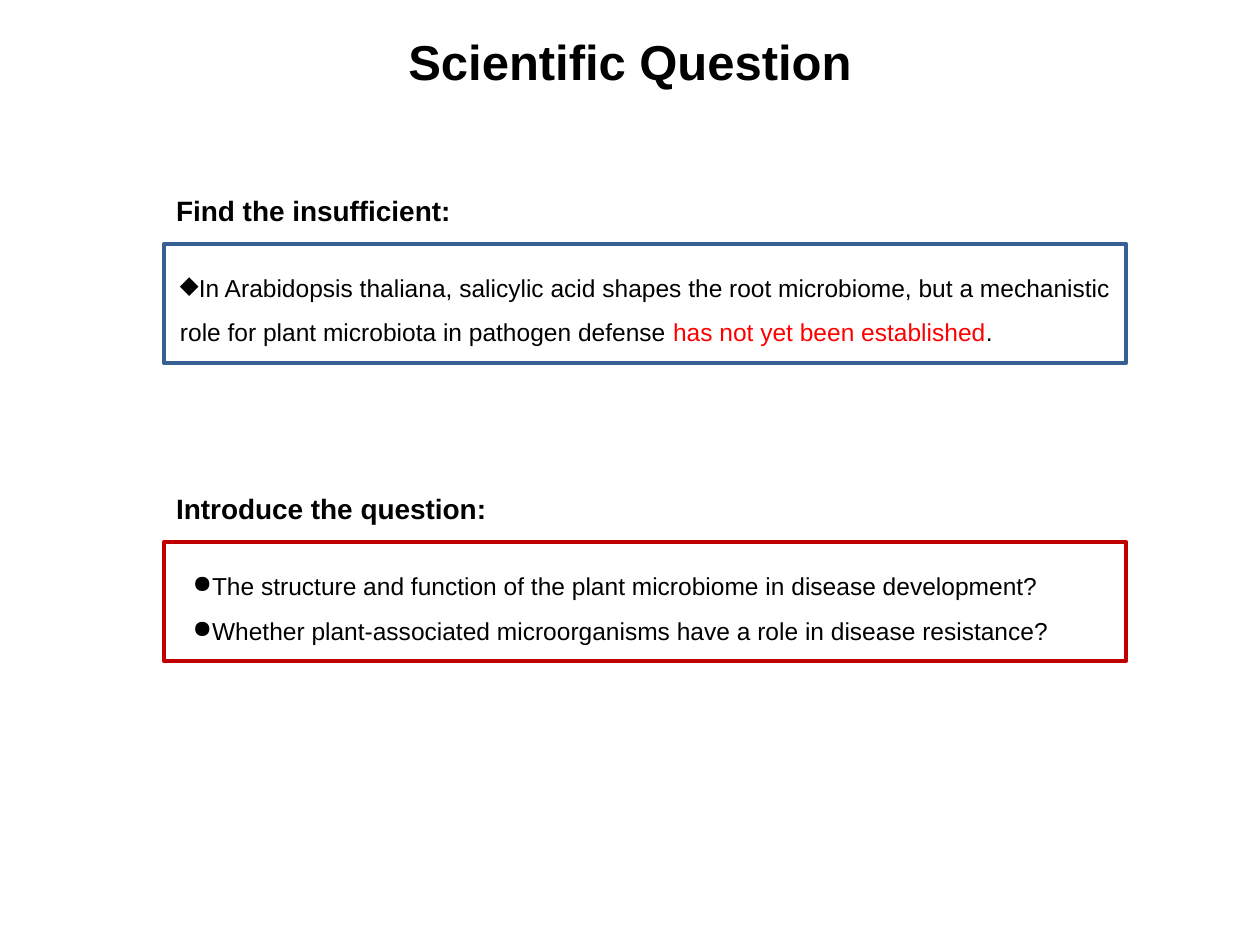
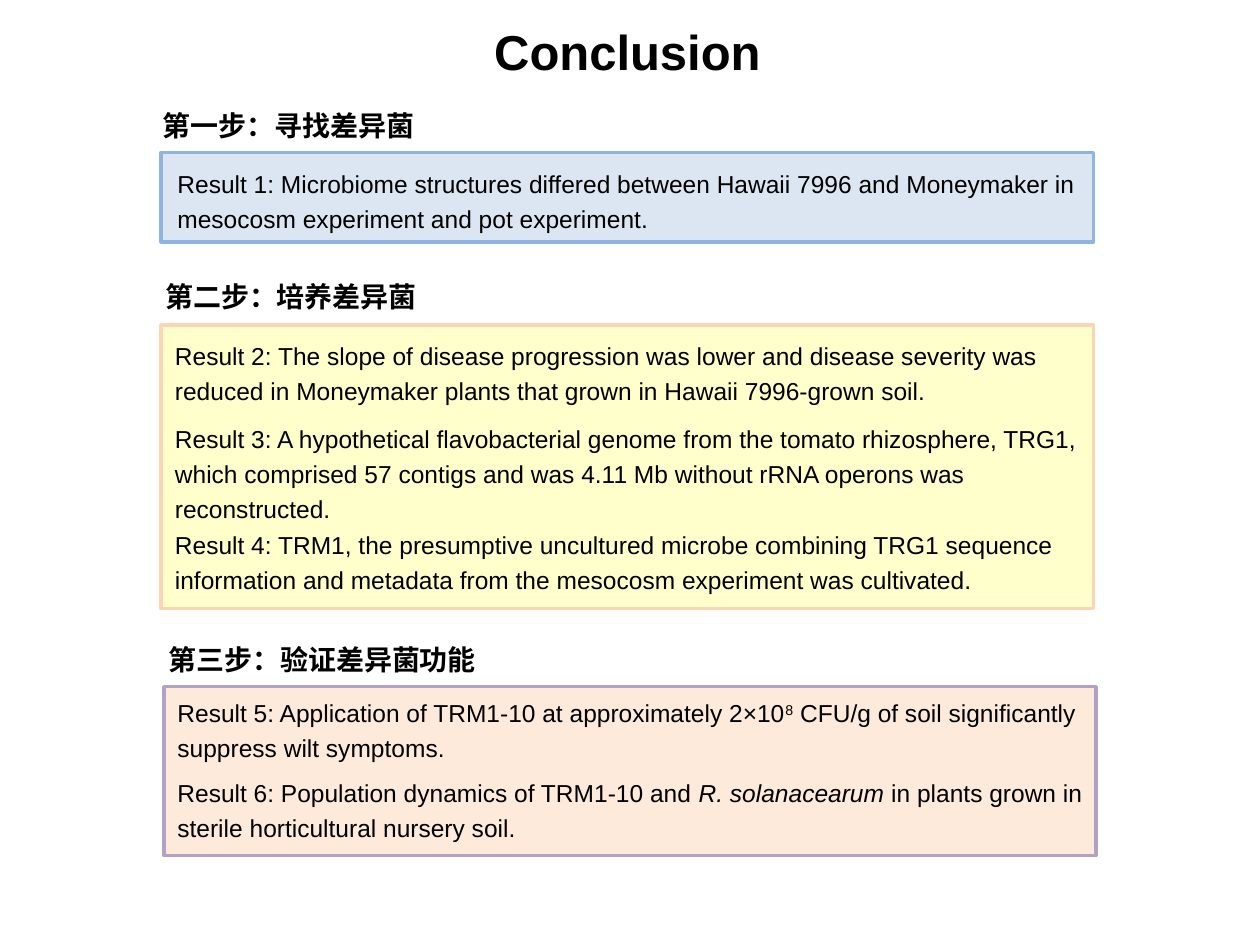
from dataclasses import dataclass
from lxml.etree import SubElement
from pptx import Presentation
from pptx.dml.color import RGBColor
from pptx.enum.shapes import MSO_SHAPE
from pptx.enum.text import MSO_ANCHOR, PP_ALIGN
from pptx.oxml.ns import qn
from pptx.util import Inches, Pt


@dataclass(frozen=True)
class Theme:
    font: str = "Arial"
    step_font: str = "Calibri"
    title: int = 28
    head: int = 16
    body: int = 14
    lead: int = 20
    black: str = "000000"
    red: str = "FF0000"
    navy: str = "376092"
    crimson: str = "C00000"
    blue: tuple = ("DCE6F2", "8EB4E3")
    yellow: tuple = ("FFFFCC", "FCD5B5")
    peach: tuple = ("FDEADA", "B3A2C7")


THEME = Theme()
COLS, ROWS = 100, 75
CELL = Inches(0.1)
WIDE = 74


def place(*cells):
    return [round(cell * CELL) for cell in cells]


def color(code):
    return RGBColor.from_string(code)


def add_runs(para, parts):
    for part in parts:
        words, style = part if isinstance(part, tuple) else (part, None)
        run = para.add_run()
        run.text = words
        if style == "red":
            run.font.color.rgb = color(THEME.red)
        elif style == "italic":
            run.font.italic = True
        elif style == "super":
            run.font._element.set("baseline", "30000")


def add_text(slide, cells, paras, size=THEME.body, bold=False, font=THEME.font,
             align=PP_ALIGN.LEFT, lead=None, bullet=None):
    frame = slide.shapes.add_textbox(*place(*cells)).text_frame
    frame.word_wrap = True
    for index, parts in enumerate(paras):
        para = frame.paragraphs[0] if index == 0 else frame.add_paragraph()
        para.alignment = align
        if lead:
            para.line_spacing = lead
        if bullet:
            SubElement(para._p.get_or_add_pPr(), qn("a:buChar"), char=bullet)
        para.font.size = Pt(size)
        para.font.bold = bold
        para.font.name = font
        para.font.color.rgb = color(THEME.black)
        add_runs(para, parts)
    return frame


def add_title(slide, cells, words):
    frame = add_text(slide, cells, [[words]], THEME.title, True,
                     align=PP_ALIGN.CENTER)
    frame.vertical_anchor = MSO_ANCHOR.MIDDLE


def add_head(slide, left, top, words):
    add_text(slide, (left, top, 30, 3.7), [[words]], THEME.head, True)


def add_step(slide, left, top, width, words):
    add_text(slide, (left, top, width, 3.7), [[words]], THEME.head, True,
             THEME.step_font, PP_ALIGN.CENTER)


def add_panel(slide, cells, line, weight, fill=None):
    panel = slide.shapes.add_shape(MSO_SHAPE.RECTANGLE, *place(*cells))
    panel.shadow.inherit = False
    panel.line.color.rgb = color(line)
    panel.line.width = Pt(weight)
    if fill:
        panel.fill.solid()
        panel.fill.fore_color.rgb = color(fill)
    else:
        panel.fill.background()


def add_result(slide, left, top, lines, *parts):
    add_text(slide, (left, top, WIDE, 1 + 2.8 * lines), [parts],
             lead=Pt(THEME.lead))


def build_question(slide):
    add_title(slide, (19.3, 1.4, 61.4, 6.9), "Scientific Question")
    gap = 23.65
    heads = ("Find the insufficient:", "Introduce the question:")
    for row, (head, line) in enumerate(zip(heads, (THEME.navy, THEME.crimson))):
        add_head(slide, 13, 14.9 + row * gap, head)
        add_panel(slide, (13, 19.4 + row * gap, 76.4, 9.4), line, 2.25)
    add_text(slide, (13.3, 20, 77.8, 8.1), [[
        "In Arabidopsis thaliana, salicylic acid shapes the root microbiome, "
        "but a mechanistic role for plant microbiota in pathogen defense ",
        ("has not yet been established", "red"), "."]], lead=1.5, bullet="◆")
    add_text(slide, (14.3, 43.7, 75, 7.6), [
        ["The structure and function of the plant microbiome in disease "
         "development?"],
        ["Whether plant-associated microorganisms have a role in disease "
         "resistance?"]], lead=1.5, bullet="●")


def build_ending(slide):
    add_title(slide, (36.8, 1.2, 26, 5.7), "Conclusion")
    panels = (
        (12.8, 12.1, 7.1, THEME.blue),
        (12.8, 25.8, 22.5, THEME.yellow),
        (13, 54.5, 13.4, THEME.peach),
    )
    for left, top, height, (fill, line) in panels:
        add_panel(slide, (left, top, WIDE, height), line, 2, fill)
    steps = (
        (11.5, 8.1, 22.8, "第一步：寻找差异菌"),
        (9.3, 21.7, 27.6, "第二步：培养差异菌"),
        (12.2, 50.5, 26.8, "第三步：验证差异菌功能"),
    )
    for step in steps:
        add_step(slide, *step)
    results = (
        (13.1, 12.5, 2,
         "Result 1: Microbiome structures differed between Hawaii 7996 and "
         "Moneymaker in mesocosm experiment and pot experiment."),
        (12.9, 26.1, 2,
         "Result 2: The slope of disease progression was lower and disease "
         "severity was reduced in Moneymaker plants that grown in Hawaii "
         "7996-grown soil."),
        (12.9, 32.7, 3,
         "Result 3: A hypothetical flavobacterial genome from the tomato "
         "rhizosphere, TRG1, which comprised 57 contigs and was 4.11 Mb "
         "without rRNA operons was reconstructed."),
        (12.9, 41.1, 2,
         "Result 4: TRM1, the presumptive uncultured microbe combining TRG1 "
         "sequence information and metadata from the mesocosm experiment was "
         "cultivated."),
        (13.1, 54.5, 2,
         "Result 5: Application of TRM1-10 at approximately 2×10",
         ("8", "super"),
         " CFU/g of soil significantly suppress wilt symptoms."),
        (13.1, 60.8, 2,
         "Result 6: Population dynamics of TRM1-10 and ",
         ("R. solanacearum ", "italic"),
         "in plants grown in sterile horticultural nursery soil."),
    )
    for result in results:
        add_result(slide, *result)


def main():
    deck = Presentation()
    deck.slide_width, deck.slide_height = place(COLS, ROWS)
    for build in (build_question, build_ending):
        build(deck.slides.add_slide(deck.slide_layouts[6]))
    deck.save("out.pptx")


if __name__ == "__main__":
    main()
